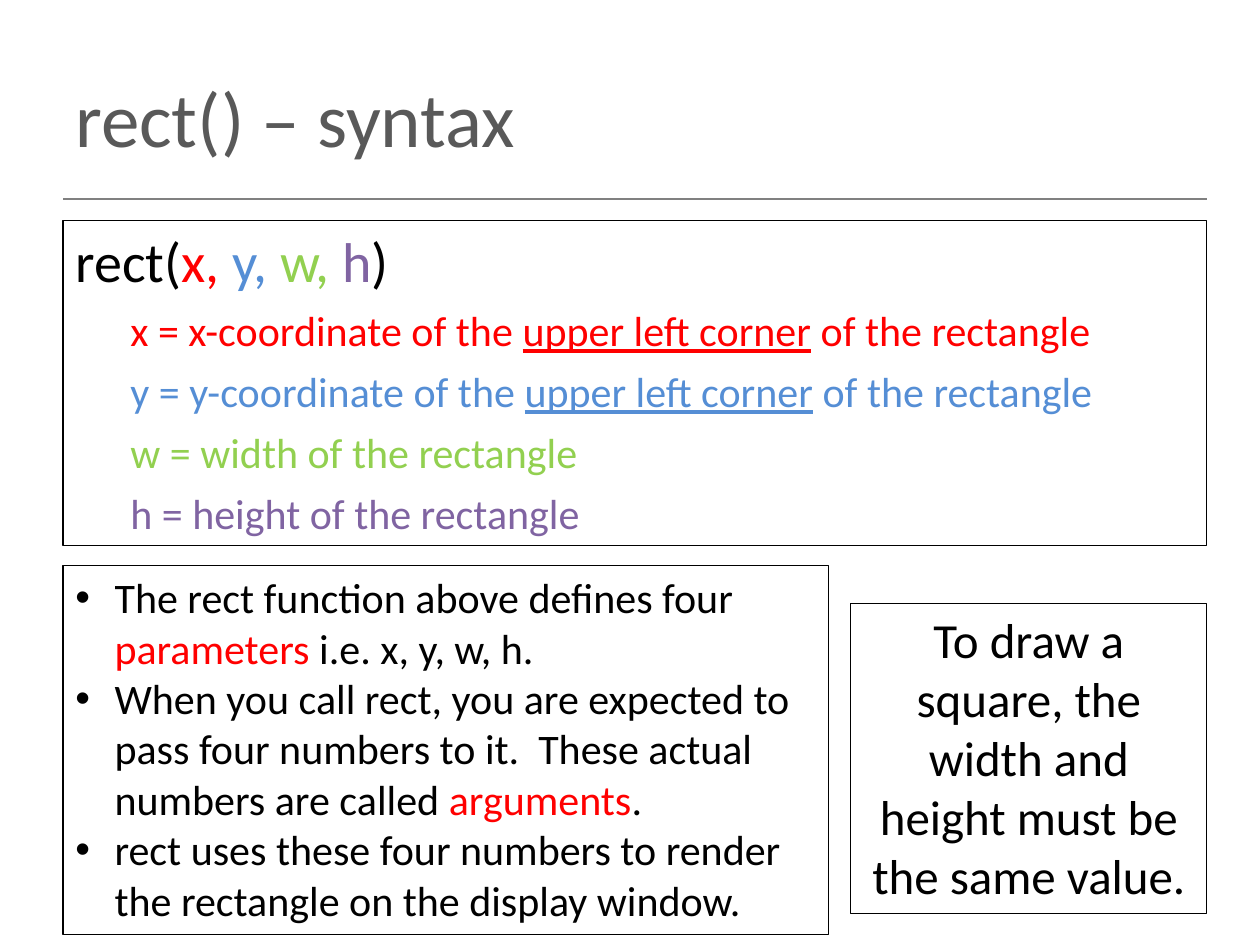
import pptx
import pptx.dml.color
import pptx.enum.shapes
import pptx.enum.text
import pptx.oxml
import pptx.oxml.ns
import pptx.util
from pptx.util import Cm

BLACK, RED, BLUE, GREEN, PURPLE = "000000", "FF0000", "558ED5", "92D050", "8064A2"
GRAY, RULE = "595959", "808080"
LEFT, RIGHT = 1.27, 24.33
Align = pptx.enum.text.PP_ALIGN
Anchor = pptx.enum.text.MSO_ANCHOR


def color(value):
    return pptx.dml.color.RGBColor.from_string(value)


def add_box(page, place, paragraphs, size, border=True, anchor=Anchor.TOP):
    box = page.shapes.add_textbox(*[Cm(length) for length in place])
    if border:
        box.line.color.rgb = color(BLACK)
        box.line.width = pptx.util.Pt(0.75)
    frame = box.text_frame
    frame.word_wrap = True
    frame.vertical_anchor = anchor
    for index, (settings, spans) in enumerate(paragraphs):
        para = frame.paragraphs[0] if index == 0 else frame.add_paragraph()
        style = {"size": size, "indent": 0, "hanging": 0, "space_before": 0,
                 "alignment": Align.LEFT, **settings}
        for name in ("space_before", "alignment"):
            value = style[name]
            setattr(para, name, pptx.util.Pt(value) if name == "space_before" else value)
        properties = para._p.get_or_add_pPr()
        properties.set("marL", str(Cm(style["indent"])))
        properties.set("indent", str(-Cm(style["hanging"])))
        if style["hanging"]:
            namespace = pptx.oxml.ns.nsdecls("a")
            properties.append(pptx.oxml.parse_xml(f'<a:buFont {namespace} typeface="Arial"/>'))
            properties.append(pptx.oxml.parse_xml(f'<a:buChar {namespace} char="•"/>'))
        for text, shade, underline in spans:
            span = para.add_run()
            span.text = text
            span.font.color.rgb = color(shade)
            font = {"name": "Calibri", "size": pptx.util.Pt(style["size"]), "underline": underline}
            for name, value in font.items():
                setattr(span.font, name, value)


deck = pptx.Presentation()
deck.slide_width = Cm(25.4)
deck.slide_height = Cm(19.05)
page = deck.slides.add_slide(deck.slide_layouts[6])

rule = page.shapes.add_connector(
    pptx.enum.shapes.MSO_CONNECTOR.STRAIGHT, Cm(LEFT), Cm(4.02), Cm(RIGHT), Cm(4.02))
rule.line.color.rgb = color(RULE)
rule.line.width = pptx.util.Pt(1)
rule._element.spPr.append(
    pptx.oxml.parse_xml(f'<a:effectLst {pptx.oxml.ns.nsdecls("a")}/>'))

add_box(page, (LEFT, 0.76, 22.86, 3.18), [({}, [("rect() – syntax", GRAY, False)])],
        44, border=False, anchor=Anchor.MIDDLE)

signature = [("rect(", BLACK, False), ("x, ", RED, False), ("y, ", BLUE, False),
             ("w, ", GREEN, False), ("h", PURPLE, False), (")", BLACK, False)]
syntax = [({"size": 32, "space_before": 6}, signature)]
detail = {"indent": 1.11, "space_before": 6}
for axis, shade in (("x", RED), ("y", BLUE)):
    syntax.append((detail, [(f"{axis} = {axis}-coordinate of the ", shade, False),
                            ("upper left corner", shade, True),
                            (" of the rectangle", shade, False)]))
for letter, measure, shade in (("w", "width", GREEN), ("h", "height", PURPLE)):
    syntax.append((detail, [(f"{letter} = {measure} of the rectangle", shade, False)]))
add_box(page, (LEFT, 4.45, RIGHT - LEFT, 6.55), syntax, 24)

square_tip = "To draw a square, the width and height must be the same value."
add_box(page, (17.15, 12.17, RIGHT - 17.15, 6.25),
        [({"alignment": Align.CENTER}, [(square_tip, BLACK, False)])], 28)

bullet = {"indent": 0.79, "hanging": 0.79}
notes = [
    [("The rect function above defines four ", BLACK, False),
     ("parameters", RED, False),
     (" i.e. x, y, w, h.", BLACK, False)],
    [("When you call rect, you are expected to pass four numbers to it.  "
      "These actual numbers are called ", BLACK, False),
     ("arguments", RED, False),
     (".", BLACK, False)],
    [("rect uses these four numbers to render the rectangle on the display window.",
      BLACK, False)],
]
add_box(page, (LEFT, 11.4, 15.44, 7.44), [(bullet, spans) for spans in notes], 24)

deck.save("out.pptx")
